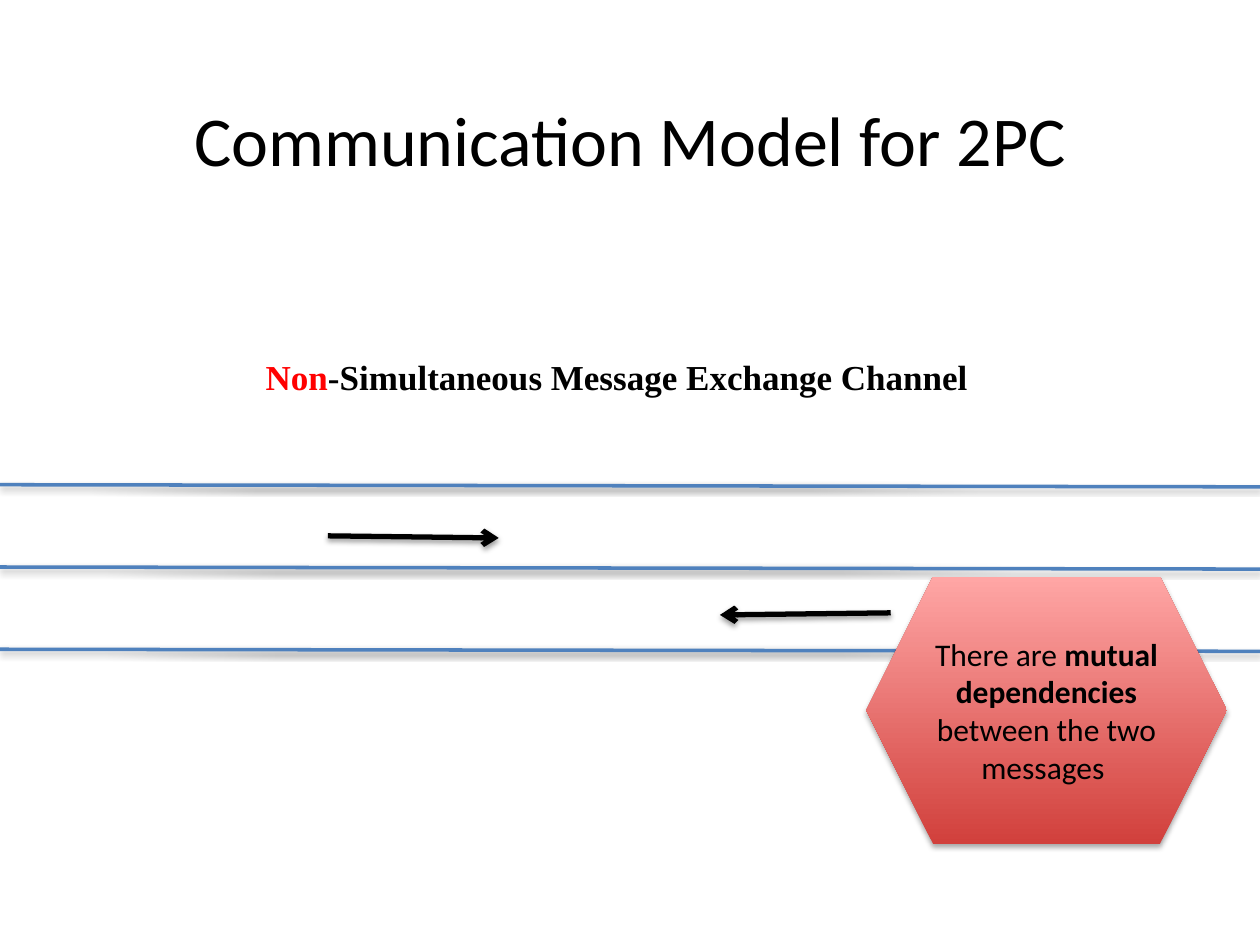
import pptx
import pptx.util
import pptx.dml.color
import pptx.enum.shapes
import pptx.enum.text
import pptx.oxml.ns
from lxml import etree

Pt = pptx.util.Pt
COLORS = {
    "black": "000000",
    "blue": "4F81BD",
    "red": "FF0000",
    "hex_dark": "D1403C",
    "hex_light": "FFA6A5",
}


def rgb(name):
    return pptx.dml.color.RGBColor.from_string(COLORS[name])


def add_run(p, text, size=18, font="Calibri", color="black", bold=False):
    r = p.add_run()
    r.text = text
    r.font.size = Pt(size)
    r.font.name = font
    r.font.bold = bold
    r.font.color.rgb = rgb(color)


def add_child(parent, tag, **attrs):
    return etree.SubElement(parent, pptx.oxml.ns.qn(tag), attrs)


class SlideBuilder:
    def __init__(self, slide):
        self.s = slide

    def shadow(self, sp, alpha, dist):
        effects = add_child(sp._element.spPr, "a:effectLst")
        outer = add_child(effects, "a:outerShdw", blurRad=str(Pt(3.1)),
                          dist=str(Pt(dist)), dir="5400000", rotWithShape="0")
        color = add_child(outer, "a:srgbClr", val=COLORS["black"])
        add_child(color, "a:alpha", val=str(alpha * 1000))

    def fill_text(self, sp, runs, middle=False, **fmt):
        """Write runs given as (text, overrides) in one centred paragraph."""
        tf = sp.text_frame
        tf.word_wrap = True
        anchor = pptx.enum.text.MSO_ANCHOR
        tf.vertical_anchor = anchor.MIDDLE if middle else anchor.TOP
        p = tf.paragraphs[0]
        p.alignment = pptx.enum.text.PP_ALIGN.CENTER
        for text, changes in runs:
            add_run(p, text, **{**fmt, **changes})

    def text(self, box, runs, **fmt):
        sp = self.s.shapes.add_textbox(*map(Pt, box))
        self.fill_text(sp, runs, **fmt)

    def line(self, x1, y1, x2, y2, color, width, arrow=False):
        kind = pptx.enum.shapes.MSO_CONNECTOR.STRAIGHT
        sp = self.s.shapes.add_connector(kind, *map(Pt, (x1, y1, x2, y2)))
        sp.line.color.rgb = rgb(color)
        sp.line.width = Pt(width)
        if arrow:
            add_child(sp.line._get_or_add_ln(), "a:tailEnd", type="arrow")
        self.shadow(sp, 38, 1.6)

    def hexagon(self, box, runs, **fmt):
        kind = pptx.enum.shapes.MSO_SHAPE.HEXAGON
        sp = self.s.shapes.add_shape(kind, *map(Pt, box))
        sp.fill.gradient()
        sp.fill.gradient_angle = 90
        for stop, color in zip(sp.fill.gradient_stops, ("hex_dark", "hex_light")):
            stop.color.rgb = rgb(color)
        sp.line.fill.background()
        self.shadow(sp, 35, 1.8)
        self.fill_text(sp, runs, **fmt)


def main():
    prs = pptx.Presentation()
    prs.slide_width, prs.slide_height = Pt(720), Pt(540)
    b = SlideBuilder(prs.slides.add_slide(prs.slide_layouts[6]))

    # Title and channel heading
    b.text((0, 34, 720, 90), [("Communication Model for 2PC", {})],
           size=40, middle=True)
    b.text((36, 199.5, 638, 31.5),
           [("Non", {"color": "red"}),
            ("-Simultaneous Message Exchange Channel ", {})],
           size=20, font="Times New Roman", bold=True)

    # Channel borders
    for i in range(3):
        y = 277 + 47 * i
        b.line(0, y, 720, y + 1.2, "blue", 2)

    # Dependency note
    b.hexagon((495, 329.5, 206, 152.8),
              [("There are ", {}),
               ("mutual dependencies ", {"bold": True}),
               ("between the two messages ", {})],
              size=18, middle=True)

    # Messages in each direction
    b.line(187.4, 306.2, 285, 307.4, "black", 3, arrow=True)
    b.line(509, 350.2, 411.4, 351.4, "black", 3, arrow=True)

    prs.save("out.pptx")


if __name__ == "__main__":
    main()
